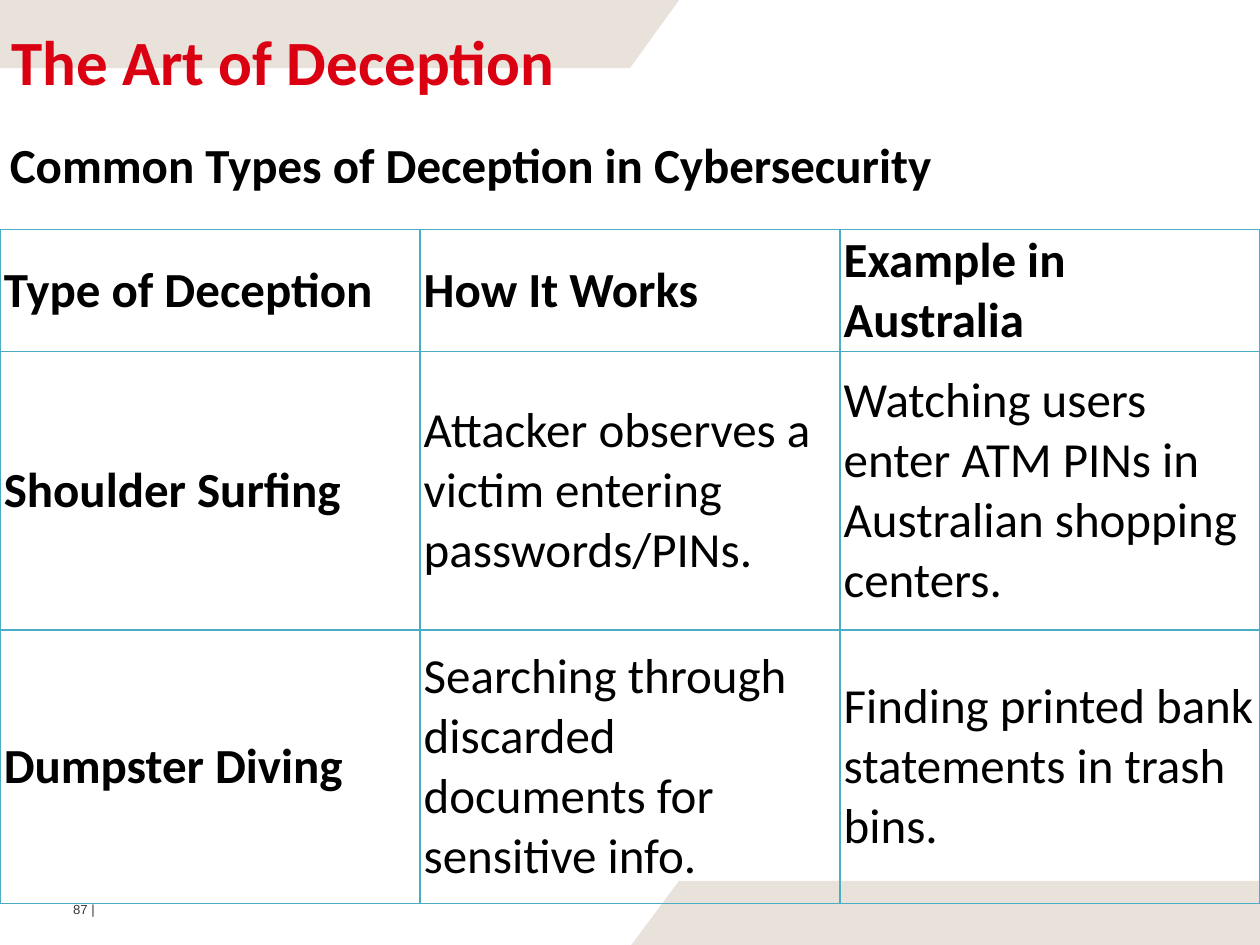
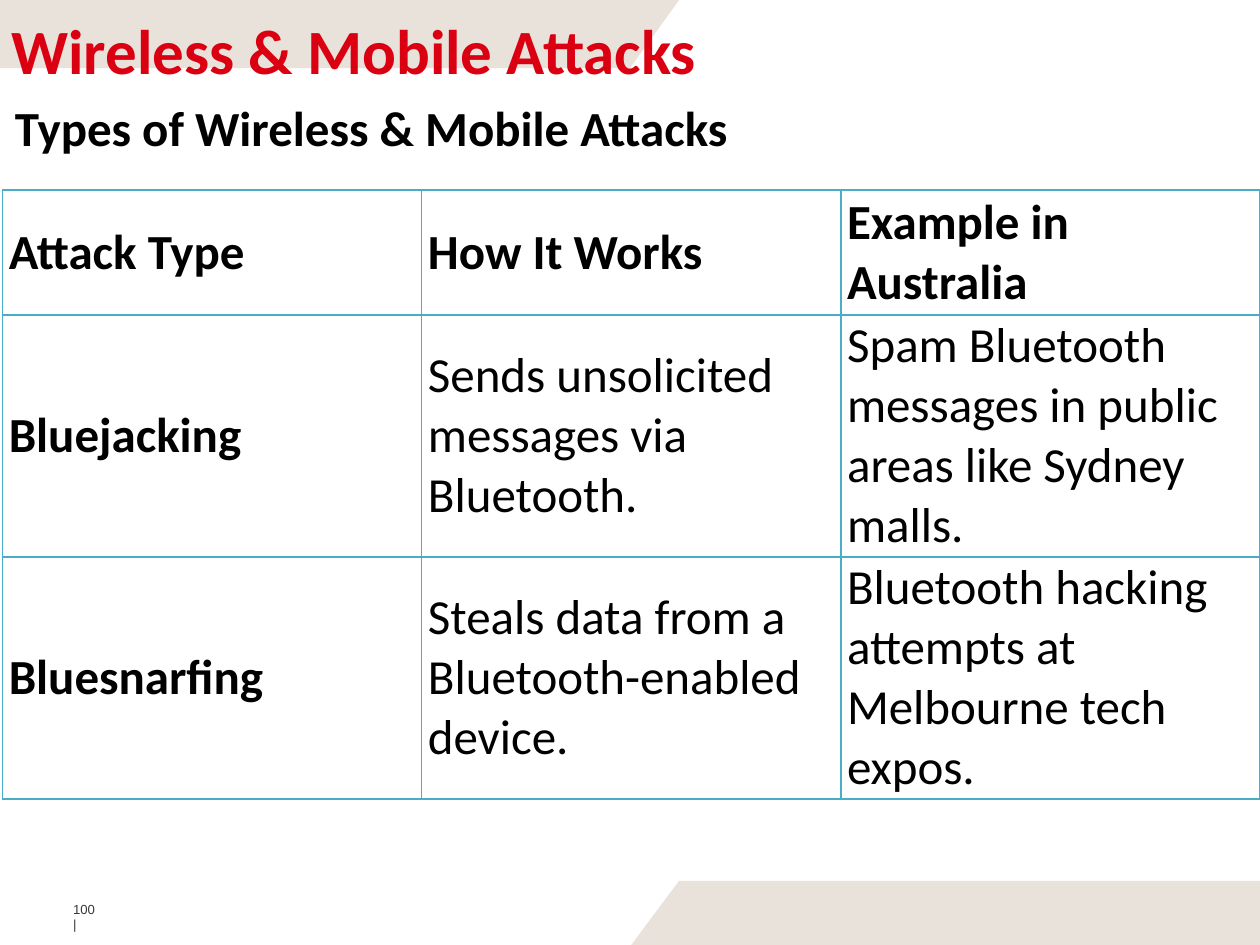
from dataclasses import dataclass
from lxml.etree import SubElement
from pptx import Presentation
from pptx.dml.color import RGBColor
from pptx.enum.text import MSO_ANCHOR, MSO_AUTO_SIZE, PP_ALIGN
from pptx.oxml.ns import qn
from pptx.util import Inches, Pt


@dataclass(frozen=True)
class Theme:
    red: str = "DA0012"
    black: str = "000000"
    grey: str = "3C3935"
    band: str = "E8E2DB"
    border: str = "4BACC6"
    font: str = "Calibri"
    footer_font: str = "Arial"
    title_size: float = 36
    body_size: float = 28
    footer_size: float = 7.5


T = Theme()
W, H = Inches(10), Inches(7.5)
BANDS = [
    [(0, 0), (5.39, 0), (5, 0.54), (0, 0.54)],
    [(10, 6.99), (5.39, 6.99), (5.01, 7.5), (10, 7.5)],
]


def style(p, size, color, bold=False, name=T.font):
    p.alignment = PP_ALIGN.LEFT
    for r in p.runs:
        r.font.name, r.font.size, r.font.bold = name, Pt(size), bold
        r.font.color.rgb = RGBColor.from_string(color)


def set_frame(tf, insets, anchor=MSO_ANCHOR.TOP, wrap=True):
    tf.margin_left, tf.margin_top, tf.margin_right, tf.margin_bottom = map(Inches, insets)
    tf.vertical_anchor, tf.word_wrap = anchor, wrap
    tf.auto_size = MSO_AUTO_SIZE.NONE


def place(sp, box):
    sp.left, sp.top, sp.width, sp.height = map(Inches, box)


def add_bands(slide, layout):
    """Draw the two slanted bands and move them to the shared layout."""
    for i, points in enumerate(BANDS):
        corners = [(Inches(x), Inches(y)) for x, y in points]
        fb = slide.shapes.build_freeform(*corners[0])
        fb.add_line_segments(corners[1:], close=True)
        sp = fb.convert_to_shape()
        sp.name = f"Band {i + 1}"
        sp.shadow.inherit = False
        sp.fill.solid()
        sp.fill.fore_color.rgb = RGBColor.from_string(T.band)
        sp.line.fill.background()
        sp._element.nvSpPr.cNvPr.set("id", str(100 + i))
        layout.shapes._spTree.insert(2 + i, sp._element)


def add_title(slide, text, top_inset):
    sp = slide.shapes.title
    place(sp, (0, 0, 7.09, 0.79))
    set_frame(sp.text_frame, (0.09, top_inset, 0, 0))
    sp.text_frame.text = text
    style(sp.text_frame.paragraphs[0], T.title_size, T.red, True)


def add_subtitle(slide, text, box):
    sp = slide.shapes.add_textbox(*map(Inches, box))
    set_frame(sp.text_frame, (0.1, 0.05, 0.1, 0.05), MSO_ANCHOR.MIDDLE, False)
    sp.text_frame.text = text
    style(sp.text_frame.paragraphs[0], T.body_size, T.black, True)


def add_footer(slide, number):
    sp = slide.shapes.add_textbox(*map(Inches, (0.54, 7.15, 0.26, 0.15)))
    set_frame(sp.text_frame, (0.04, 0, 0, 0))
    sp.text_frame.text = f"{number} |"
    style(sp.text_frame.paragraphs[0], T.footer_size, T.grey, name=T.footer_font)


def set_borders(cell):
    tcPr = cell._tc.get_or_add_tcPr()
    for side in ("a:lnL", "a:lnR", "a:lnT", "a:lnB"):
        ln = SubElement(tcPr, qn(side), w=str(Pt(1)))
        SubElement(SubElement(ln, qn("a:solidFill")), qn("a:srgbClr"), val=T.border)


def add_grid(slide, rows, left, top, heights, inset):
    """Table from left to the slide's right edge, in equal columns."""
    n = len(rows[0])
    x, width = Inches(left), W - Inches(left)
    table = slide.shapes.add_table(
        len(rows), n, x, Inches(top), width, Inches(sum(heights))).table
    table.first_row = table.horz_banding = False
    for col in table.columns:
        col.width = width // n
    for i, (row, height) in enumerate(zip(rows, heights)):
        table.rows[i].height = Inches(height)
        for j, text in enumerate(row):
            cell = table.cell(i, j)
            set_borders(cell)
            cell.fill.background()
            cell.margin_left = cell.margin_right = Inches(inset)
            cell.margin_top = cell.margin_bottom = Inches(0.01)
            cell.vertical_anchor = MSO_ANCHOR.MIDDLE
            cell.text = text
            # Header row and first column are bold
            style(cell.text_frame.paragraphs[0], T.body_size, T.black, i == 0 or j == 0)


SLIDES = [
    dict(
        title="The Art of Deception", title_inset=0.18, number=87,
        subtitle="Common Types of Deception in Cybersecurity",
        subtitle_box=(-0.02, 1.02, 7.62, 0.57),
        grid=dict(left=0, top=1.82, heights=(0.97, 2.21, 2.17), inset=0.03, rows=[
            ("Type of Deception", "How It Works", "Example in Australia"),
            ("Shoulder Surfing", "Attacker observes a victim entering passwords/PINs.",
             "Watching users enter ATM PINs in Australian shopping centers."),
            ("Dumpster Diving", "Searching through discarded documents for sensitive info.",
             "Finding printed bank statements in trash bins."),
        ]),
    ),
    dict(
        title="Wireless & Mobile Attacks", title_inset=0.09, number=100,
        subtitle="Types of Wireless & Mobile Attacks",
        subtitle_box=(0.02, 0.72, 5.97, 0.57),
        grid=dict(left=0.02, top=1.51, heights=(0.99, 1.91, 1.91), inset=0.05, rows=[
            ("Attack Type", "How It Works", "Example in Australia"),
            ("Bluejacking", "Sends unsolicited messages via Bluetooth.",
             "Spam Bluetooth messages in public areas like Sydney malls."),
            ("Bluesnarfing", "Steals data from a Bluetooth-enabled device.",
             "Bluetooth hacking attempts at Melbourne tech expos."),
        ]),
    ),
]


def add_table_slide(prs, layout, data):
    slide = prs.slides.add_slide(layout)
    if len(prs.slides) == 1:
        add_bands(slide, layout)
    add_title(slide, data["title"], data["title_inset"])
    add_footer(slide, data["number"])
    add_grid(slide, **data["grid"])
    add_subtitle(slide, data["subtitle"], data["subtitle_box"])


def main():
    prs = Presentation()
    prs.slide_width, prs.slide_height = W, H
    layout = prs.slide_layouts.get_by_name("Title Only")
    for data in SLIDES:
        add_table_slide(prs, layout, data)
    prs.save("out.pptx")


if __name__ == "__main__":
    main()
